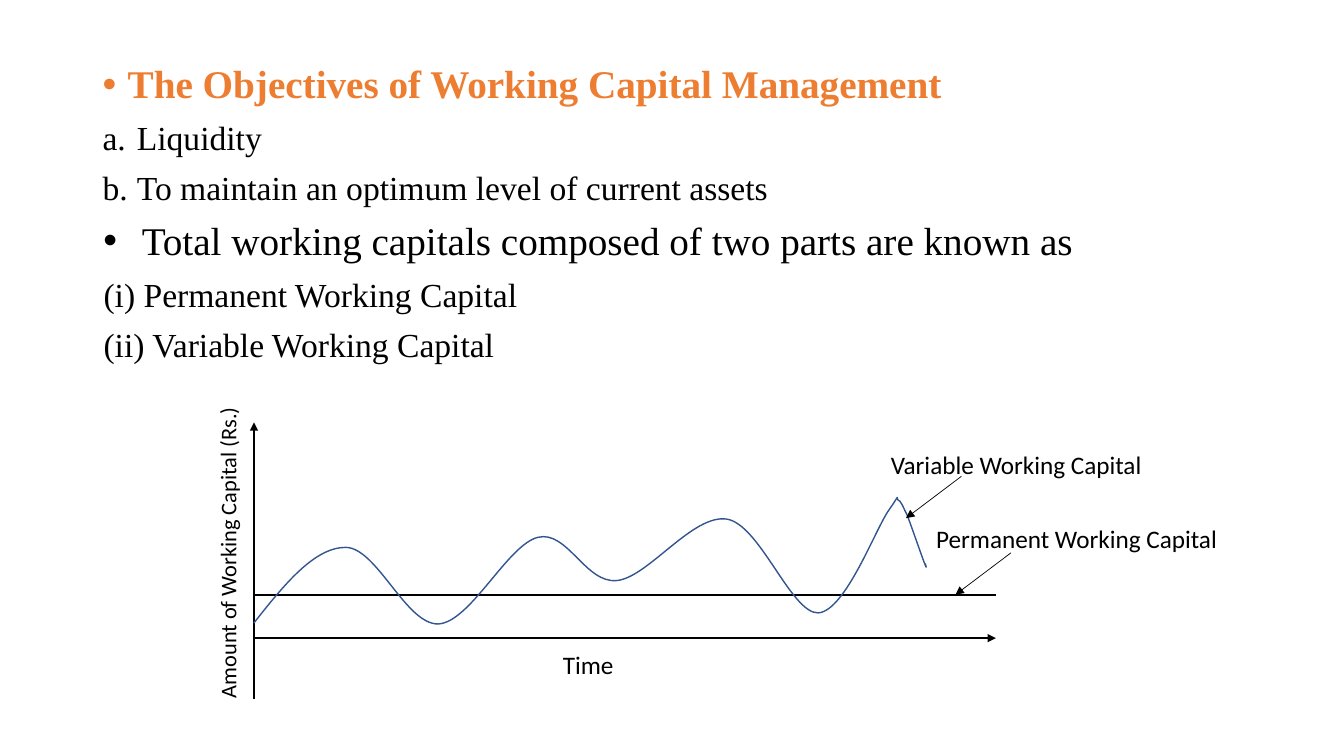
from pptx import Presentation
from pptx.dml.color import RGBColor
from pptx.enum.shapes import MSO_CONNECTOR
from pptx.enum.text import PP_ALIGN
from pptx.oxml.ns import qn
from pptx.util import Pt
from lxml import etree

STRAIGHT = MSO_CONNECTOR.STRAIGHT
LEFT, CENTER = PP_ALIGN.LEFT, PP_ALIGN.CENTER
COLORS = {"heading": "ED7D31", "ink": "000000", "curve": "325491"}
SERIF, SANS = "Times New Roman", "Calibri"
DOT = ("a:buChar", {"char": "•"})
LETTER = ("a:buAutoNum", {"type": "alphaLcPeriod"})
NO_BULLET = ("a:buNone", {})

OBJECTIVES = [
    ("The Objectives of Working Capital Management", 28, "heading", True, 18, -18, DOT),
    ("Liquidity", 24, "ink", False, 24.5, -24.5, LETTER),
    ("To maintain an optimum level of current assets", 24, "ink", False, 24.5, -24.5, LETTER),
    ("Total working capitals composed of two parts are known as", 28, "ink", False, 28, -27.4, DOT),
    ("(i) Permanent Working Capital", 24, "ink", False, 0.7, 0, NO_BULLET),
    ("(ii) Variable Working Capital", 24, "ink", False, 0.7, 0, NO_BULLET),
]

CURVE_START = (0, 143.3)
CURVE = [
    ((21.6, 115.9), (43.2, 89.3), (65.5, 89.3)),
    ((87.8, 89.3), (108.7, 144.7), (131.8, 144)),
    ((154.8, 142.6), (181.4, 87.1), (203, 82.1)),
    ((223.9, 77), (236.9, 115.2), (259.2, 113)),
    ((281.5, 110.9), (313.2, 65.5), (337.7, 69.1)),
    ((361.4, 72.7), (383.8, 136.8), (403.2, 136.1)),
    ((422.6, 134.6), (444.2, 75.6), (453.6, 62.6)),
    ((463, 49), (457.9, 54.7), (460.1, 55.4)),
    ((462.2, 56.2), (463, 59), (466.6, 66.2)),
    ((469.4, 73.4), (476.6, 94.3), (478.8, 100.1)),
    ((481, 105.8), (480.2, 103), (479.5, 100.8)),
]

LABELS = [
    ("Amount of Working Capital (Rs.)", (-137.5, 72, 237.6, 26.6), 16, LEFT, 270),
    ("Time", (193.7, 158.4, 90, 29.5), 18, CENTER, 0),
    ("Variable Working Capital", (447.8, 15.8, 217.4, 28.8), 18, LEFT, 0),
    ("Permanent Working Capital", (480.2, 68.4, 217.4, 28.8), 18, LEFT, 0),
]


def rgb(name):
    """Return the named colour."""
    return RGBColor.from_string(COLORS[name])


def add_run(p, text, color, **fmt):
    """Add a run with the given font attributes."""
    r = p.add_run()
    r.text = text
    r.font.color.rgb = rgb(color)
    for key, value in fmt.items():
        setattr(r.font, key, value)


def add_box(s, x, y, w, h):
    """Add a wrapping text box."""
    sp = s.shapes.add_textbox(Pt(x), Pt(y), Pt(w), Pt(h))
    sp.text_frame.word_wrap = True
    return sp


def add_line(s, start, end, width, arrow=True):
    """Add a straight black line, with an arrowhead at its end if wanted."""
    sp = s.shapes.add_connector(STRAIGHT, *map(Pt, start + end))
    sp.line.color.rgb = rgb("ink")
    sp.line.width = Pt(width)
    if arrow:
        etree.SubElement(sp.line._get_or_add_ln(), qn("a:tailEnd"), type="triangle")
    etree.SubElement(sp._element.spPr, qn("a:effectLst"))


def add_objectives(s, x, y, w, h):
    """Write the heading and the lists below it."""
    tf = add_box(s, x, y, w, h).text_frame
    for i, (text, size, color, bold, margin, indent, (tag, attrs)) in enumerate(OBJECTIVES):
        p = tf.add_paragraph() if i else tf.paragraphs[0]
        for key, value in {"line_spacing": 0.9, "space_before": Pt(10)}.items():
            setattr(p, key, value)
        pPr = p._p.get_or_add_pPr()
        pPr.set("marL", str(Pt(margin)))
        pPr.set("indent", str(Pt(indent)))
        if tag == "a:buChar":
            etree.SubElement(pPr, qn("a:buFont"), typeface="Arial")
        etree.SubElement(pPr, qn(tag), attrs)
        add_run(p, text, color, name=SERIF, size=Pt(size), bold=bold)


def add_curve(s, x, y):
    """Draw the variable capital curve from the chart's corner."""
    ends = [segment[-1] for segment in CURVE]
    top = min(py for _, py in ends)
    fb = s.shapes.build_freeform(*map(Pt, CURVE_START), scale=1.0)
    fb.add_line_segments([tuple(map(Pt, q)) for q in ends], close=False)
    sp = fb.convert_to_shape(Pt(x), Pt(y))
    for line_to, segment in zip(list(sp._element.iter(qn("a:lnTo"))), CURVE):
        bezier = etree.Element(qn("a:cubicBezTo"))
        for px, py in segment:
            etree.SubElement(bezier, qn("a:pt"), x=str(Pt(px)), y=str(Pt(py - top)))
        line_to.getparent().replace(line_to, bezier)
    sp.shadow.inherit = False
    sp.fill.background()
    sp.line.color.rgb = rgb("curve")
    sp.line.width = Pt(1)


def add_capital_chart(s, x, y, w, h):
    """Draw axes, permanent level, curve, labels and pointers."""
    time_y, level_y = y + h - 43.2, y + h - 74.2
    add_line(s, (x, y + h), (x, y), 1.5)
    add_line(s, (x, time_y), (x + w, time_y), 1.5)
    add_line(s, (x, level_y), (x + w, level_y), 1.5, arrow=False)
    add_curve(s, x, y)
    for px, py in ((501.1, 123.1), (465.8, 68.4)):
        add_line(s, (x + px + 39.6, y + py - 29.9), (x + px, y + py), 0.5)
    for text, (dx, dy, lw, lh), size, align, turn in LABELS:
        sp = add_box(s, x + dx, y + dy, lw, lh)
        sp.rotation = turn
        p = sp.text_frame.paragraphs[0]
        p.alignment = align
        add_run(p, text, "ink", name=SANS, size=Pt(size))


def main():
    """Build and save the slide."""
    prs = Presentation()
    prs.slide_width, prs.slide_height = Pt(960), Pt(540)
    s = prs.slides.add_slide(prs.slide_layouts[6])
    add_objectives(s, 66.2, 42.7, 828, 456.5)
    add_capital_chart(s, 181.4, 301.7, 530, 197.3)
    prs.save("out.pptx")


if __name__ == "__main__":
    main()
